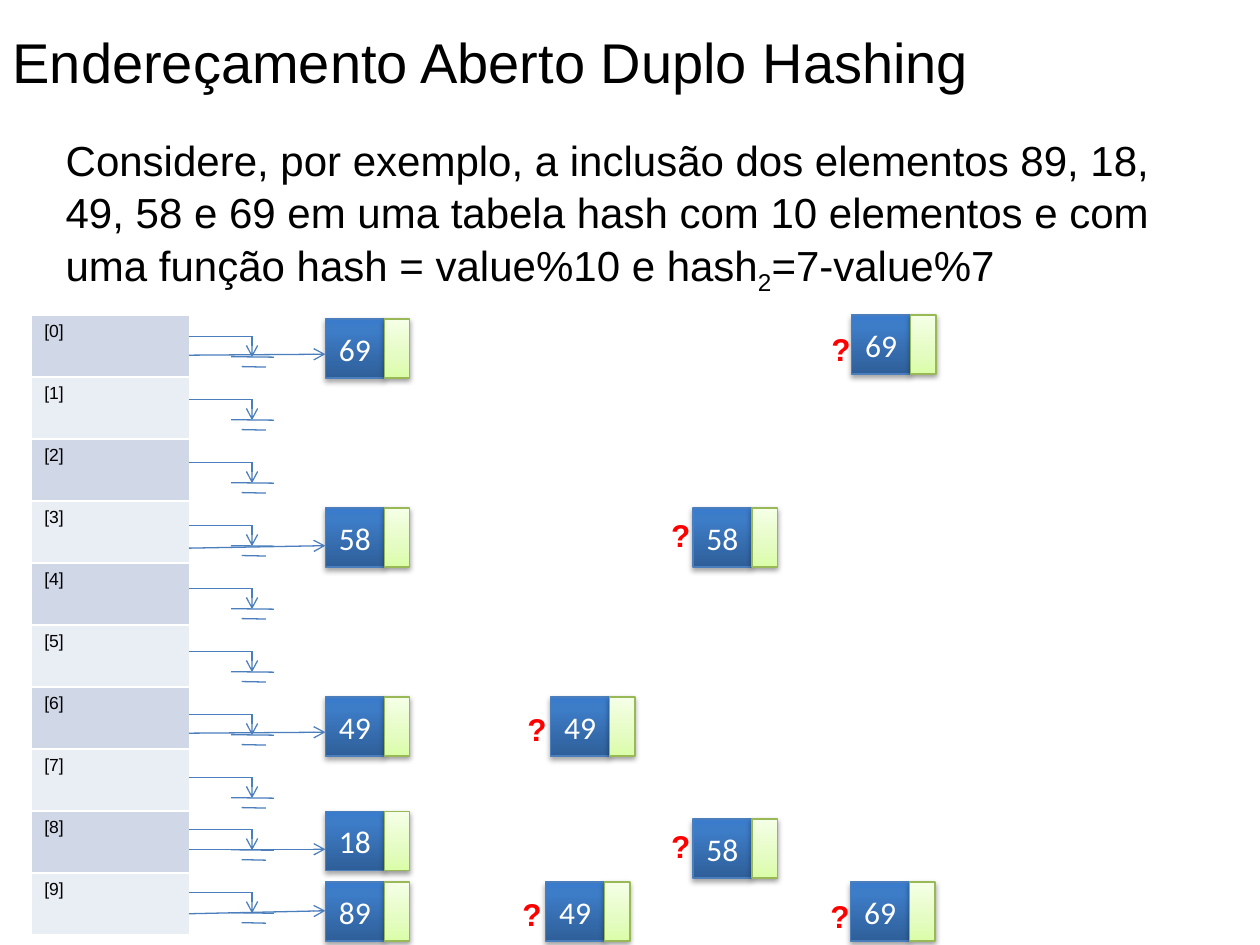
from pptx import Presentation
from pptx.dml.color import RGBColor
from pptx.enum.shapes import MSO_CONNECTOR, MSO_SHAPE
from pptx.enum.text import MSO_ANCHOR, MSO_AUTO_SIZE, PP_ALIGN
from pptx.oxml import parse_xml
from pptx.oxml.ns import nsdecls
from pptx.util import Cm, Pt

STRAIGHT, RECT = MSO_CONNECTOR.STRAIGHT, MSO_SHAPE.RECTANGLE
TOP, MIDDLE = MSO_ANCHOR.TOP, MSO_ANCHOR.MIDDLE
LEFT, CENTER = PP_ALIGN.LEFT, PP_ALIGN.CENTER
NO_FIT = MSO_AUTO_SIZE.NONE

BLACK = RGBColor(0x00, 0x00, 0x00)
WHITE = RGBColor(0xFF, 0xFF, 0xFF)
RED = RGBColor(0xFF, 0x00, 0x00)
BLUE = RGBColor(0x4B, 0x7E, 0xBC)
GREEN = RGBColor(0x98, 0xB9, 0x55)
BANDS = (RGBColor(0xD0, 0xD8, 0xE8), RGBColor(0xE9, 0xED, 0xF4))
BLUE_STOPS = ((0, RGBColor(0x2F, 0x5F, 0x99)), (80, RGBColor(0x3D, 0x7C, 0xC7)),
              (100, RGBColor(0x3A, 0x7C, 0xCB)))
GREEN_STOPS = ((0, RGBColor(0xDA, 0xFD, 0xA7)), (35, RGBColor(0xE4, 0xFC, 0xC2)),
               (100, RGBColor(0xF5, 0xFF, 0xE7)))

BUCKET_RIGHT, CHAIN_X = 3.81, 6.56
BOX, LINK = 1.19, 0.51
GROUND_TOPS = [6.78 + 1.27 * i for i in range(8)] + [16.72, 17.99]
CHAIN = ((89, 17.78, 18.42, 18.36), (18, 16.36, 17.12, 17.12), (58, 10.24, 11.05, 11.0),
         (69, 6.43, 7.16, 7.14), (49, 14.05, 14.78, 14.76))
COLLISIONS = ((58, 13.97, 16.51), (49, 11.0, 17.78), (69, 17.15, 17.78),
              (49, 11.1, 14.05), (58, 13.97, 10.24), (69, 17.17, 6.35))
MARK_OFFSETS = {58: (-0.69, 0.03), 49: (-0.72, 0.13), 69: (-0.66, 0.18)}


class HashSlide:
    """Draws the parts of a hash table diagram on one slide in a shared style."""

    title_font = {"name": "Arial", "size": Pt(32)}
    body_font = {"name": "Arial", "size": Pt(24)}
    cell_font = {"name": "Arial", "size": Pt(10)}
    node_font = {"name": "Calibri", "size": Pt(18)}
    mark_font = {"name": "Arial", "size": Pt(18), "bold": True}

    def __init__(self, prs):
        self.s = prs.slides.add_slide(prs.slide_layouts[1])

    def place(self, sp, x, y, w, h):
        box = {"left": Cm(x), "top": Cm(y), "width": Cm(w), "height": Cm(h)}
        for name, value in box.items():
            setattr(sp, name, value)

    def run(self, p, text, font, color):
        r = p.add_run()
        r.text = text
        for name, value in font.items():
            setattr(r.font, name, value)
        r.font.color.rgb = color
        return r

    def frame(self, sp, wrap, anchor, align):
        tf = sp.text_frame
        values = {"word_wrap": wrap, "vertical_anchor": anchor, "auto_size": NO_FIT}
        for name, value in values.items():
            setattr(tf, name, value)
        p = tf.paragraphs[0]
        p.alignment = align
        return p

    def title(self, text, *box):
        sp = self.s.shapes.title
        self.place(sp, *box)
        self.run(self.frame(sp, False, TOP, LEFT), text, self.title_font, BLACK)

    def body(self, parts, *box):
        sp = self.s.placeholders[1]
        self.place(sp, *box)
        p = self.frame(sp, True, TOP, LEFT)
        p.space_before, p.line_spacing = Pt(0), 1.04
        pPr = p._p.get_or_add_pPr()
        pPr.set("marL", "0")
        pPr.set("indent", "0")
        pPr.append(parse_xml(f"<a:buNone {nsdecls('a')}/>"))
        for text, baseline in parts:
            r = self.run(p, text, self.body_font, BLACK)
            if baseline:
                r.font._rPr.set("baseline", str(baseline * 1000))

    def buckets(self, count, x, y, w, row_h):
        table = self.s.shapes.add_table(count, 1, Cm(x), Cm(y), Cm(w), Cm(row_h * count)).table
        table.first_row = False
        for i in range(count):
            cell = table.cell(i, 0)
            cell.fill.solid()
            cell.fill.fore_color.rgb = BANDS[i % 2]
            self.run(cell.text_frame.paragraphs[0], f"[{i}]", self.cell_font, BLACK)

    def line(self, x1, y1, x2, y2, arrow=False, shapes=None):
        sp = (shapes or self.s.shapes).add_connector(STRAIGHT, Cm(x1), Cm(y1), Cm(x2), Cm(y2))
        sp.line.color.rgb, sp.line.width = BLUE, Pt(0.75)
        if arrow:
            sp.line._get_or_add_ln().append(parse_xml(f'<a:tailEnd {nsdecls("a")} type="arrow"/>'))
        sp._element.spPr.append(parse_xml(f"<a:effectLst {nsdecls('a')}/>"))

    def ground(self, x, y):
        shapes = self.s.shapes.add_group_shape().shapes
        self.line(x, y, x + 1.27, y, shapes=shapes)
        self.line(x + 1.27, y, x + 1.27, y + 0.42, True, shapes)
        self.line(x + 0.85, y + 0.41, x + 1.71, y + 0.42, shapes=shapes)
        self.line(x + 1.06, y + 0.61, x + 1.55, y + 0.62, shapes=shapes)

    def box(self, shapes, x, y, w, stops, color, alpha, drop):
        sp = shapes.add_shape(RECT, Cm(x), Cm(y), Cm(w), Cm(BOX))
        spPr = sp._element.spPr
        gs = "".join(f'<a:gs pos="{pos * 1000}"><a:srgbClr val="{rgb}"/></a:gs>'
                     for pos, rgb in stops)
        spPr.append(parse_xml(f'<a:gradFill {nsdecls("a")} rotWithShape="1"><a:gsLst>{gs}</a:gsLst>'
                              '<a:lin ang="16200000" scaled="0"/></a:gradFill>'))
        sp.line.color.rgb, sp.line.width = color, Pt(0.75)
        spPr.append(parse_xml(
            f'<a:effectLst {nsdecls("a")}><a:outerShdw blurRad="{Pt(3.1)}" dist="{Pt(drop)}" '
            f'dir="5400000" rotWithShape="0"><a:srgbClr val="{BLACK}">'
            f'<a:alpha val="{alpha * 1000}"/></a:srgbClr></a:outerShdw></a:effectLst>'))
        return sp

    def node(self, value, x, y, marked=False):
        shapes = self.s.shapes.add_group_shape().shapes
        sp = self.box(shapes, x, y, BOX, BLUE_STOPS, BLUE, 35, 1.8)
        self.run(self.frame(sp, True, MIDDLE, CENTER), str(value), self.node_font, WHITE)
        self.box(shapes, x + BOX, y, LINK, GREEN_STOPS, GREEN, 38, 1.6)
        if marked:
            dx, dy = MARK_OFFSETS[value]
            sp = shapes.add_textbox(Cm(x + dx), Cm(y + dy), Cm(0.91), Cm(1.02))
            self.run(self.frame(sp, False, TOP, LEFT), "?", self.mark_font, RED)


prs = Presentation()
prs.slide_width, prs.slide_height = Cm(25.4), Cm(19.05)
s = HashSlide(prs)
s.title("Endereçamento Aberto Duplo Hashing", 0, 0.43, 19.94, 1.63)
s.body((("Considere, por exemplo, a inclusão dos elementos 89, 18, 49, 58 e 69 em uma tabela "
         "hash com 10 elementos e com uma função hash = value%10 e hash", 0),
        ("2", -25), ("=7-value%7 ", 0)), 1.07, 2.54, 22.86, 3.33)
s.buckets(10, 0.64, 6.35, 3.18, 1.25)
for y in GROUND_TOPS:
    s.ground(BUCKET_RIGHT, y)
for value, y, start, end in CHAIN:
    s.node(value, CHAIN_X, y)
    s.line(BUCKET_RIGHT, start, CHAIN_X, end, True)
for value, x, y in COLLISIONS:
    s.node(value, x, y, True)
prs.save("out.pptx")
